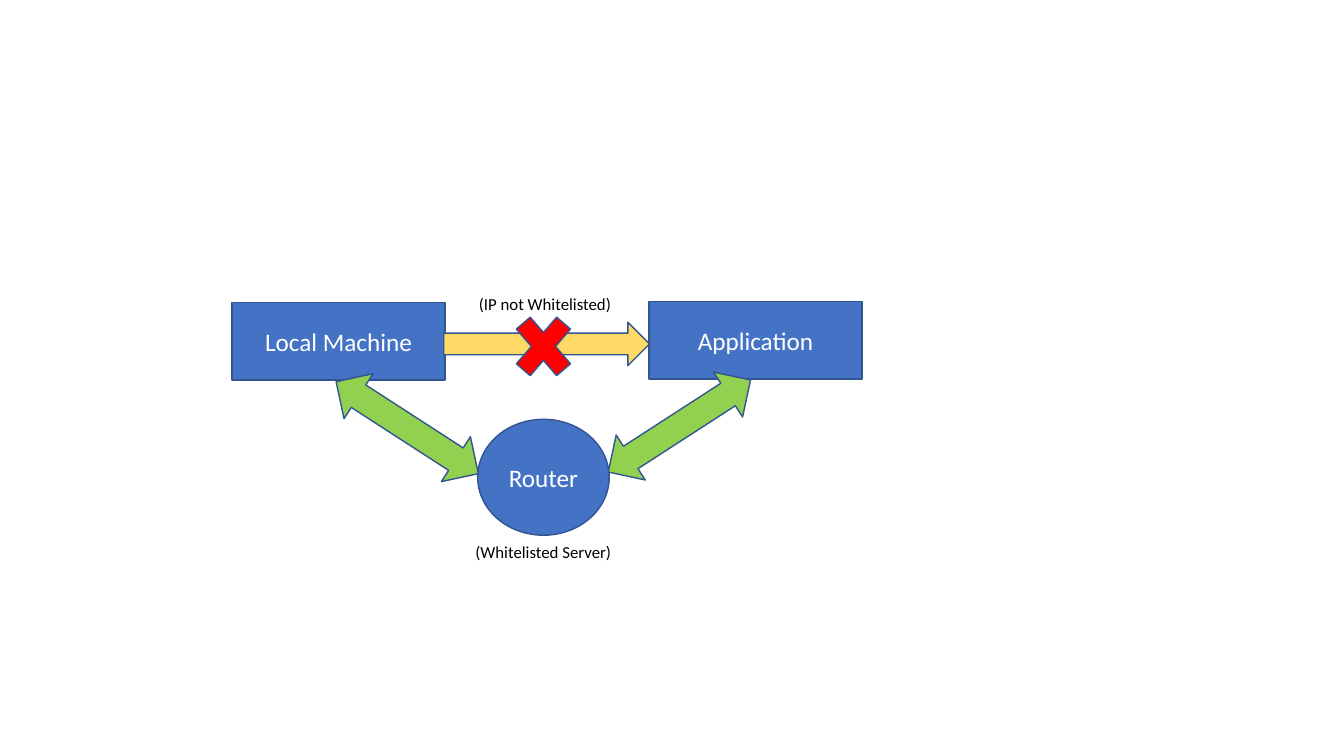
import pptx
import pptx.util
import pptx.dml.color
import pptx.enum.shapes
import pptx.enum.text

Pt = pptx.util.Pt
KIND = pptx.enum.shapes.MSO_SHAPE
ALIGN = pptx.enum.text.PP_ALIGN
ANCHOR = pptx.enum.text.MSO_ANCHOR

BLUE, NAVY, GOLD = "4472C4", "325491", "FFD966"
RED, GREEN = "FF0000", "92D050"
BOX = (152, 55.4)
LINK = (121, 38.2)
TILT = 32.9

# kind, left and top, size, fill, rotation, text
SHAPES = [
    (KIND.RECTANGLE, (165.8, 216), BOX, BLUE, 0, "Local Machine"),
    (KIND.RECTANGLE, (463.7, 215.3), BOX, BLUE, 0, "Application"),
    (KIND.RIGHT_ARROW, (317, 230.2), (147, 31), GOLD, 0, ""),
    (KIND.FLOWCHART_CONNECTOR, (341.2, 299.5), (94, 82.8), BLUE, 0, "Router"),
    (KIND.MATH_MULTIPLY, (360.5, 215.5), (55.4, 64), RED, 0, ""),
    (KIND.LEFT_RIGHT_ARROW, (424.8, 285.2), LINK, GREEN, 360 - TILT, ""),
    (KIND.LEFT_RIGHT_ARROW, (230.4, 286.4), LINK, GREEN, TILT, ""),
]
LABELS = [
    ("(IP not Whitelisted)", (335, 206)),
    ("(Whitelisted Server)", (332.5, 383.2)),
]


def tint(code):
    return pptx.dml.color.RGBColor.from_string(code)


def write(frame, text, size=18, color="FFFFFF", align=ALIGN.CENTER,
          anchor=ANCHOR.MIDDLE):
    frame.word_wrap = True
    frame.vertical_anchor = anchor
    para = frame.paragraphs[0]
    para.alignment = align
    run = para.add_run()
    run.text = text
    run.font.name = "Calibri"
    run.font.size = Pt(size)
    run.font.color.rgb = tint(color)


def draw(slide, kind, spot, size, fill, turn, text):
    shape = slide.shapes.add_shape(kind, *map(Pt, spot + size))
    shape.shadow.inherit = False
    shape.rotation = turn
    shape.fill.solid()
    shape.fill.fore_color.rgb = tint(fill)
    shape.line.color.rgb = tint(NAVY)
    shape.line.width = Pt(1)
    if text:
        write(shape.text_frame, text)


def main():
    deck = pptx.Presentation()
    deck.slide_width, deck.slide_height = Pt(960), Pt(540)
    slide = deck.slides.add_slide(deck.slide_layouts[6])
    for item in SHAPES:
        draw(slide, *item)
    for text, spot in LABELS:
        label = slide.shapes.add_textbox(*map(Pt, spot + (111.6, 21.8)))
        write(label.text_frame, text, size=12, color="000000",
              align=ALIGN.LEFT, anchor=ANCHOR.TOP)
    deck.save("out.pptx")


if __name__ == "__main__":
    main()
